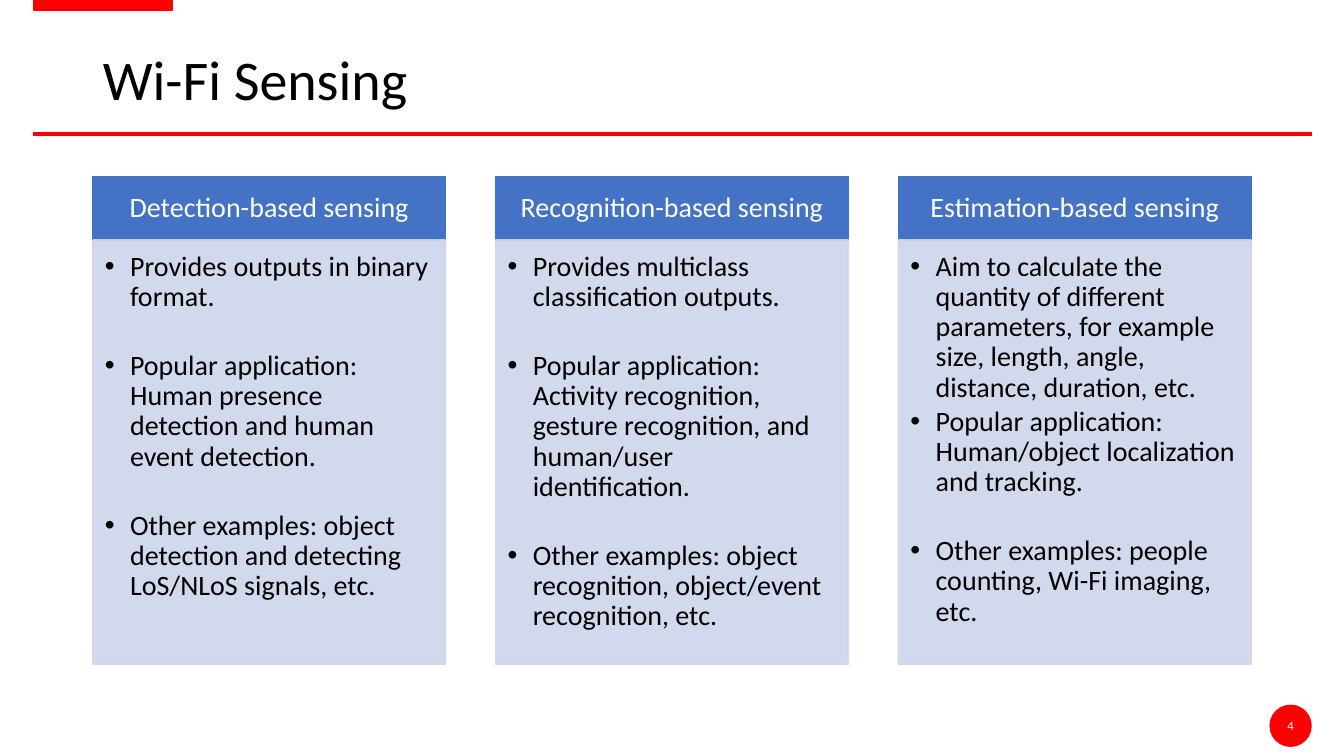
import pptx
import pptx.util
import pptx.dml.color
import pptx.enum.shapes
import pptx.enum.text
import pptx.oxml
import pptx.oxml.ns
from dataclasses import dataclass

Inches, Pt = pptx.util.Inches, pptx.util.Pt
Shape = pptx.enum.shapes.MSO_SHAPE
Align = pptx.enum.text.PP_ALIGN
Anchor = pptx.enum.text.MSO_ANCHOR

TITLE = "Wi-Fi Sensing"
PAGE = "4"
TIGHT, WIDE = 2.7, 27.7  # points after a bullet

# heading, then (bullet, space after)
CARDS = [
    ("Detection-based sensing", [
        ("Provides outputs in binary format.", WIDE),
        ("Popular application: Human presence detection and human event detection.", WIDE),
        ("Other examples: object detection and detecting LoS/NLoS signals, etc.", TIGHT),
    ]),
    ("Recognition-based sensing", [
        ("Provides multiclass classification outputs.", WIDE),
        ("Popular application: Activity recognition, gesture recognition, "
         "and human/user identification.", WIDE),
        ("Other examples: object recognition, object/event recognition, etc.", TIGHT),
    ]),
    ("Estimation-based sensing", [
        ("Aim to calculate the quantity of different parameters, for example "
         "size, length, angle, distance, duration, etc.", TIGHT),
        ("Popular application: Human/object localization and tracking.", WIDE),
        ("Other examples: people counting, Wi-Fi imaging, etc.", TIGHT),
    ]),
]


@dataclass(frozen=True)
class Theme:
    font: str = "Calibri"
    red: str = "FF0000"
    head: str = "4472C4"
    body: str = "CFD5EA"
    white: str = "FFFFFF"
    black: str = "000000"
    title: int = 40
    text: int = 20
    page: int = 9


theme = Theme()


def rgb(code):
    return pptx.dml.color.RGBColor.from_string(code)


def node(parent, tag, **attrs):
    item = pptx.oxml.parse_xml(f"<a:{tag} {pptx.oxml.ns.nsdecls('a')}/>")
    for key, val in attrs.items():
        item.set(key, val)
    parent.append(item)


def box(slide, kind, at, color, alpha=None):
    shape = slide.shapes.add_shape(kind, *map(Inches, at))
    shape.shadow.inherit = False
    shape.fill.solid()
    shape.fill.fore_color.rgb = rgb(color)
    shape.line.color.rgb = rgb(color)
    shape.line.width = Pt(1)
    if alpha:
        for tint in shape._element.spPr.iter(pptx.oxml.ns.qn("a:srgbClr")):
            node(tint, "alpha", val=str(alpha * 1000))
    return shape


def write(shape, items, size, color, align=Align.LEFT, anchor=Anchor.MIDDLE,
          inset=(0.1, 0.05, 0.1, 0.05), bullet=False, lead=0.9):
    """Fill a shape with (text, space after) paragraphs."""
    frame = shape.text_frame
    frame.word_wrap = True
    frame.auto_size = pptx.enum.text.MSO_AUTO_SIZE.NONE
    frame.vertical_anchor = anchor
    (frame.margin_left, frame.margin_top,
     frame.margin_right, frame.margin_bottom) = map(Inches, inset)
    for i, (text, after) in enumerate(items):
        para = frame.add_paragraph() if i else frame.paragraphs[0]
        para.alignment = align
        para.line_spacing = lead
        para.space_before = Pt(0)
        para.space_after = Pt(after)
        if bullet:
            props = para._p.get_or_add_pPr()
            props.set("marL", str(Inches(0.25)))
            props.set("indent", str(-Inches(0.25)))
            node(props, "buFont", typeface="Arial")
            node(props, "buChar", char="•")
        run = para.add_run()
        run.text = text
        run.font.name = theme.font
        run.font.size = Pt(size)
        run.font.color.rgb = rgb(color)


def frame_page(slide):
    """Draw the red tab, the rule, the title and the page badge."""
    box(slide, Shape.RECTANGLE, (0.33, -0.02, 1.38, 0.12), theme.red)
    rule = slide.shapes.add_connector(
        pptx.enum.shapes.MSO_CONNECTOR.STRAIGHT,
        *map(Inches, (0.33, 1.33, 13.01, 1.33)))
    rule.line.color.rgb = rgb(theme.red)
    rule.line.width = Pt(3)
    node(rule._element.spPr, "effectLst")

    title = slide.shapes.title
    title.left, title.top, title.width, title.height = map(
        Inches, (0.92, 0.32, 11.5, 0.99))
    write(title, [(TITLE, 0)], theme.title, theme.black)

    badge = box(slide, Shape.OVAL, (12.59, 6.99, 0.42, 0.42), theme.red)
    badge.line.fill.background()
    write(badge, [(PAGE, 0)], theme.page, theme.white, align=Align.CENTER,
          inset=(0, 0, 0, 0), lead=1.0)


def draw_cards(slide):
    left, top, wide, step = 0.92, 1.75, 3.5, 3.995
    head_high, body_high = 0.63, 4.21
    for i, (name, points) in enumerate(CARDS):
        x = left + i * step
        head = box(slide, Shape.RECTANGLE, (x, top, wide, head_high), theme.head)
        write(head, [(name, 0)], theme.text, theme.white, align=Align.CENTER,
              inset=(0.16, 0.09, 0.16, 0.09))
        body = box(slide, Shape.RECTANGLE,
                   (x, top + head_high, wide, body_high), theme.body, alpha=90)
        write(body, points, theme.text, theme.black, anchor=Anchor.TOP,
              inset=(0.12, 0.12, 0.16, 0.17), bullet=True)


def main():
    deck = pptx.Presentation()
    deck.slide_width, deck.slide_height = Inches(13.33), Inches(7.5)
    slide = deck.slides.add_slide(deck.slide_layouts.get_by_name("Title Only"))
    frame_page(slide)
    draw_cards(slide)
    deck.save("out.pptx")


if __name__ == "__main__":
    main()
